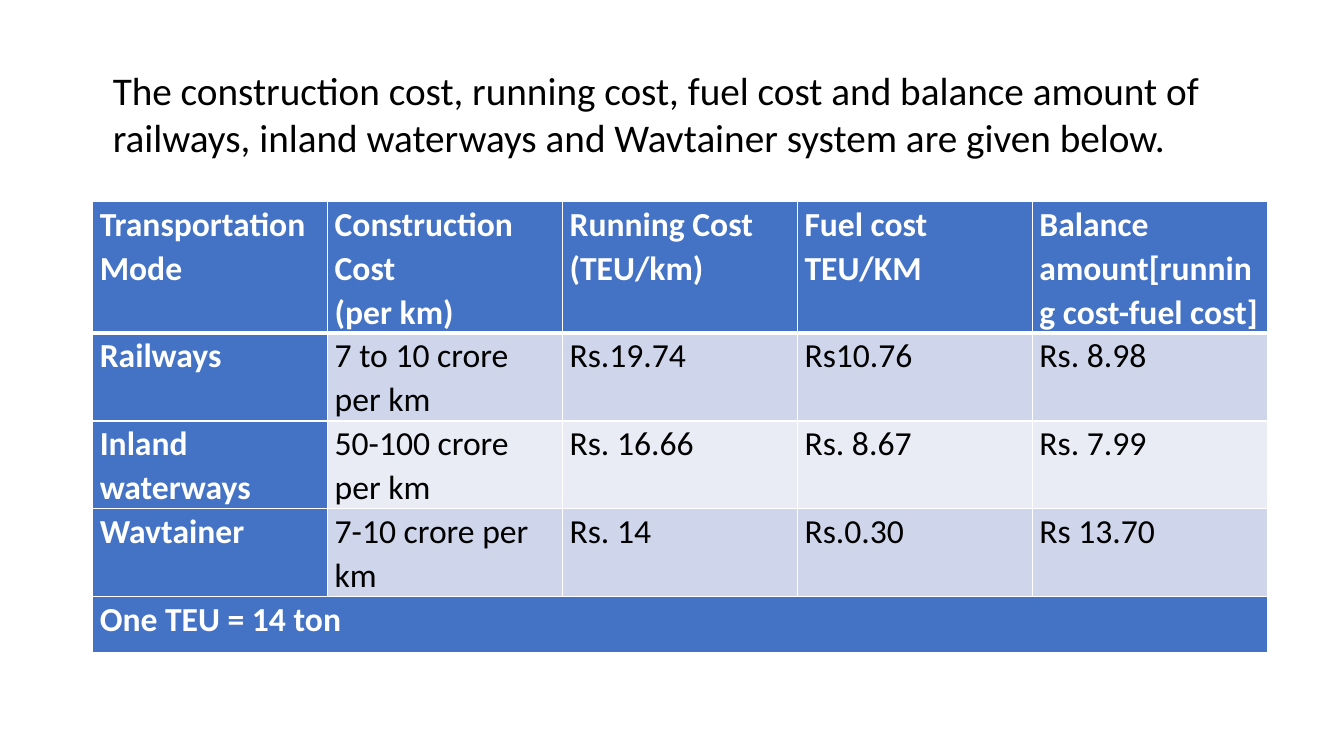
from lxml import etree
from pptx import Presentation
from pptx.dml.color import RGBColor
from pptx.oxml import ns
from pptx.util import Inches, Pt

INTRO = ("The construction cost, running cost, fuel cost and balance amount of "
         "railways, inland waterways and Wavtainer system are given below.")
ROWS = [
    ["Transportation Mode", "Construction Cost\n(per km)", "Running Cost\n(TEU/km)",
     "Fuel cost TEU/KM", "Balance amount[running cost-fuel cost]"],
    ["Railways", "7 to 10 crore per km", "Rs.19.74", "Rs10.76", "Rs. 8.98"],
    ["Inland waterways", "50-100 crore per km", "Rs. 16.66", "Rs. 8.67", "Rs. 7.99"],
    ["Wavtainer", "7-10 crore per km", "Rs. 14", "Rs.0.30", "Rs 13.70"],
    ["One TEU = 14 ton", "", "", "", ""],
]
ROW_HEIGHTS = [1.3, 0.87, 0.87, 0.87, 0.56]
COLUMN_WIDTH = 2.33
FONT = "Calibri"
WHITE = RGBColor(0xFF, 0xFF, 0xFF)
BLACK = RGBColor(0, 0, 0)
BLUE = RGBColor(0x44, 0x72, 0xC4)
BANDS = [RGBColor(0xE9, 0xEB, 0xF5), RGBColor(0xCF, 0xD5, 0xEA)]


def set_font(para, size, color, bold=False):
    para.font.name = FONT
    para.font.size = Pt(size)
    para.font.color.rgb = color
    para.font.bold = bold


def add_borders(cell, bottom_width):
    properties = cell._tc.get_or_add_tcPr()
    widths = {"a:lnL": 1, "a:lnR": 1, "a:lnT": 1, "a:lnB": bottom_width}
    for position, (side, width) in enumerate(widths.items()):
        line = etree.Element(ns.qn(side), w=str(Pt(width)))
        fill = etree.SubElement(line, ns.qn("a:solidFill"))
        etree.SubElement(fill, ns.qn("a:srgbClr"), val=str(WHITE))
        properties.insert(position, line)


def style_cell(cell, content, is_heading, band, bottom_width):
    cell.text = content
    cell.margin_left = cell.margin_right = Inches(0.07)
    cell.margin_top = cell.margin_bottom = 0
    cell.fill.solid()
    cell.fill.fore_color.rgb = BLUE if is_heading else band
    for para in cell.text_frame.paragraphs:
        para.line_spacing = 1.07
        set_font(para, 24, WHITE if is_heading else BLACK, is_heading)
    add_borders(cell, bottom_width)


def add_cost_table(page):
    columns = len(ROWS[0])
    last = len(ROWS) - 1
    table = page.shapes.add_table(
        len(ROWS), columns, Inches(0.92), Inches(2),
        Inches(COLUMN_WIDTH * columns), Inches(sum(ROW_HEIGHTS))).table
    for column in table.columns:
        column.width = Inches(COLUMN_WIDTH)
    for r, (height, values) in enumerate(zip(ROW_HEIGHTS, ROWS)):
        table.rows[r].height = Inches(height)
        for c, content in enumerate(values):
            is_heading = r in (0, last) or c == 0
            style_cell(table.cell(r, c), content, is_heading, BANDS[r % 2],
                       3 if r == 0 else 1)
    table.cell(last, 0).merge(table.cell(last, columns - 1))


def add_intro(page):
    box = page.shapes.add_textbox(Inches(1.02), Inches(0.61), Inches(11.22), Inches(1.04))
    box.text_frame.word_wrap = True
    para = box.text_frame.paragraphs[0]
    para.text = INTRO
    set_font(para, 28, BLACK)


def main():
    deck = Presentation()
    deck.slide_width = Inches(13.33)
    deck.slide_height = Inches(7.5)
    page = deck.slides.add_slide(deck.slide_layouts[6])
    add_cost_table(page)
    add_intro(page)
    deck.save("out.pptx")


if __name__ == "__main__":
    main()
